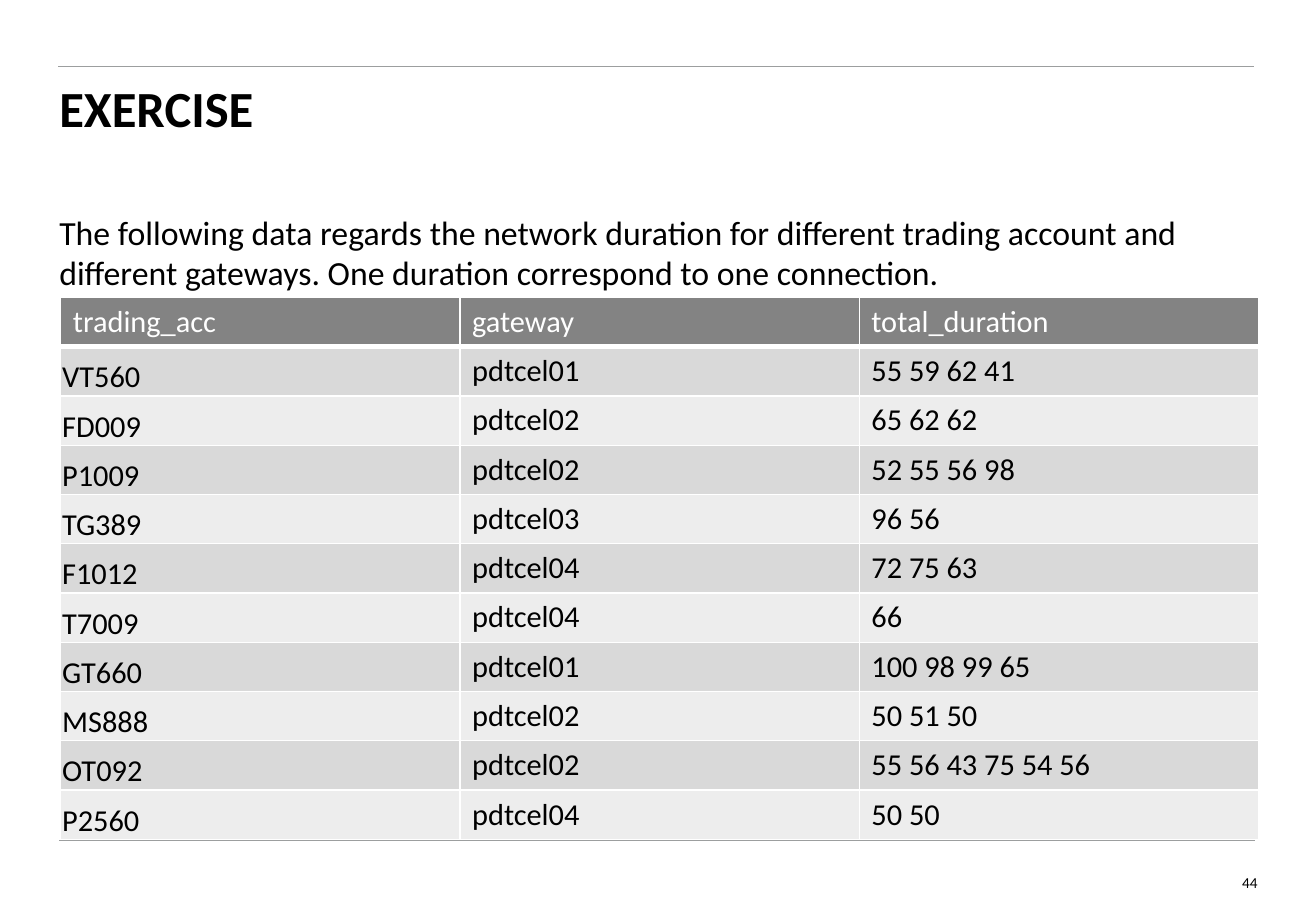
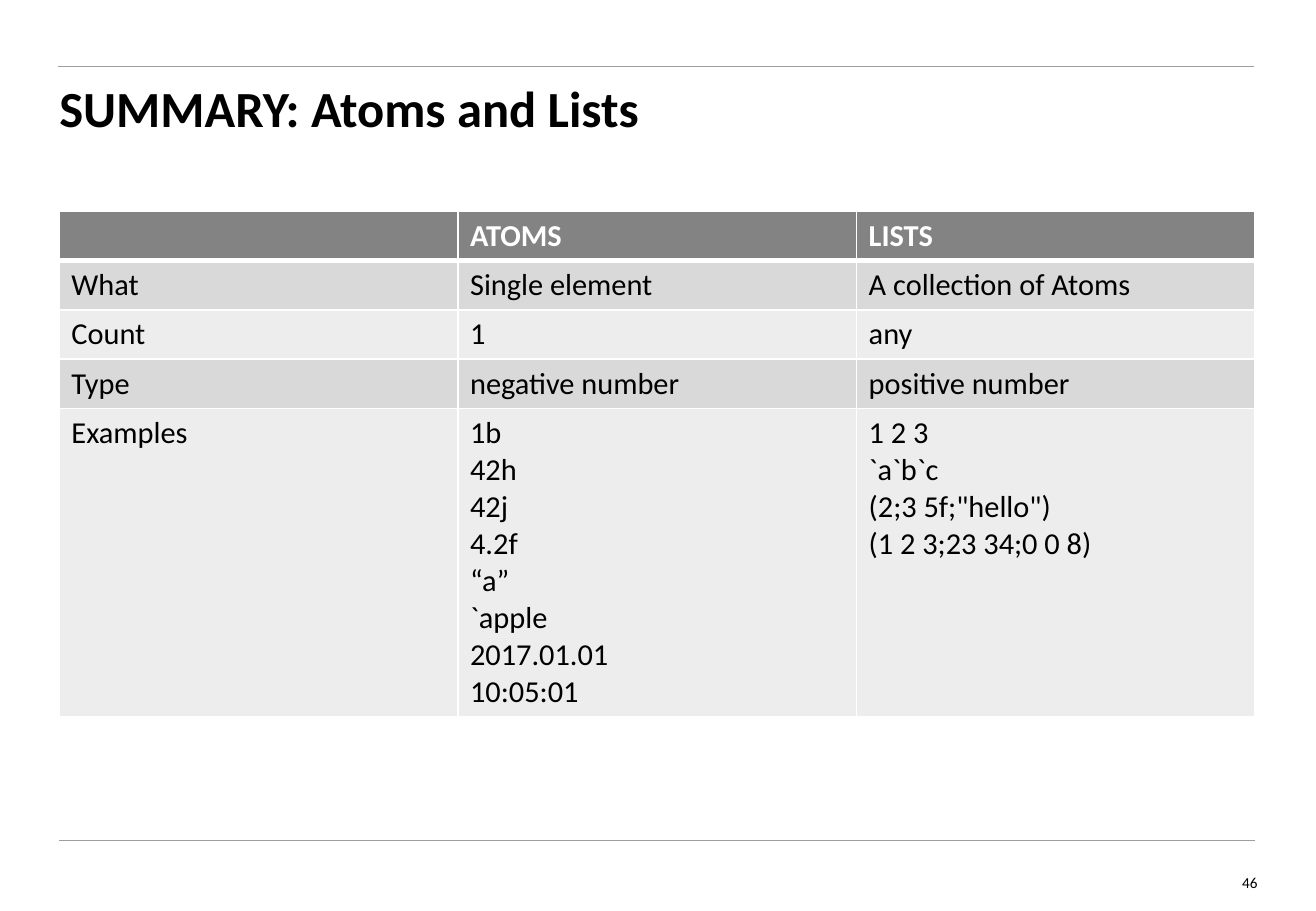
"""Build two training slides: a data exercise and a summary of atoms and lists."""
from dataclasses import dataclass

from lxml.etree import SubElement
from pptx import Presentation
from pptx.dml.color import RGBColor as Rgb
from pptx.enum.shapes import MSO_CONNECTOR as Connector
from pptx.enum.text import MSO_ANCHOR as Anchor, MSO_AUTO_SIZE as AutoSize, PP_ALIGN as Align
from pptx.oxml.ns import qn
from pptx.util import Cm, Pt


@dataclass(frozen=True)
class Theme:
    font: str = "Calibri"
    ink: str = "000000"
    paper: str = "FFFFFF"
    rule: str = "9C9E9F"
    header: str = "838383"
    bands: tuple = ("D9D9D9", "EDEDED")
    title_size: int = 30
    body_size: int = 20
    table_size: int = 18
    number_size: int = 9
    left: float = 1.24
    width: float = 25
    content_top: float = 4.42
    row_height: float = 1.03


class Deck:
    def __init__(self, theme):
        self.theme = theme
        self.presentation = Presentation()
        self.presentation.slide_width = Cm(27.51)
        self.presentation.slide_height = Cm(19.05)
        self.slide = None

    def add_slide(self, title, number):
        theme = self.theme
        self.slide = self.presentation.slides.add_slide(self.presentation.slide_layouts[5])
        self.rule(1.22, 1.4)
        self.rule(theme.left, 17.58)
        heading = self.slide.shapes.title
        heading.left, heading.top = Cm(theme.left), Cm(1.75)
        heading.width, heading.height = Cm(theme.width), Cm(2.26)
        self.set_words(heading.text_frame, title, theme.title_size, bold=True, spacing=0.9)
        self.text(str(number), 25.15, 18.31, 1.14, 0.3, theme.number_size,
                  Align.RIGHT, Anchor.MIDDLE)

    def rule(self, left, top):
        line = self.slide.shapes.add_connector(
            Connector.STRAIGHT, Cm(left), Cm(top), Cm(left + self.theme.width), Cm(top))
        line.line.color.rgb = Rgb.from_string(self.theme.rule)
        line.line.width = Pt(0.5)
        SubElement(line.element.spPr, qn("a:effectLst"))

    def text(self, words, left, top, width, height, size, align=Align.LEFT, anchor=Anchor.TOP):
        box = self.slide.shapes.add_textbox(Cm(left), Cm(top), Cm(width), Cm(height))
        self.set_words(box.text_frame, words, size, align=align, anchor=anchor)

    def set_words(self, frame, words, size, bold=False, align=Align.LEFT, anchor=Anchor.TOP,
                  spacing=1.0):
        frame.margin_left = frame.margin_right = frame.margin_top = frame.margin_bottom = 0
        frame.auto_size = AutoSize.NONE
        frame.word_wrap = True
        frame.vertical_anchor = anchor
        frame.text = words
        self.style_runs(frame, size, self.theme.ink, bold, align, spacing)

    def style_runs(self, frame, size, color, bold, align=Align.LEFT, spacing=1.0):
        for paragraph in frame.paragraphs:
            paragraph.alignment = align
            paragraph.line_spacing = spacing
            for run in paragraph.runs:
                run.font.name = self.theme.font
                run.font.size = Pt(size)
                run.font.bold = bold
                run.font.color.rgb = Rgb.from_string(color)

    def table(self, rows, left, top, width, bold_header=False, tight_first_column=False):
        theme = self.theme
        grid = self.slide.shapes.add_table(
            len(rows), len(rows[0]), Cm(left), Cm(top), Cm(width),
            Cm(theme.row_height * len(rows))).table
        for row_index, row in enumerate(rows):
            is_header = row_index == 0
            fill = theme.header if is_header else theme.bands[(row_index - 1) % 2]
            color = theme.paper if is_header else theme.ink
            borders = ({"lnL": 1, "lnR": 1, "lnT": 1, "lnB": 3} if is_header
                       else {"lnL": 1, "lnR": 1, "lnB": 1})
            for column_index, words in enumerate(row):
                cell = grid.cell(row_index, column_index)
                cell.text_frame.text = words
                self.style_runs(cell.text_frame, theme.table_size, color,
                                is_header and bold_header)
                if tight_first_column and column_index == 0 and not is_header:
                    cell.vertical_anchor = Anchor.BOTTOM
                    cell.margin_left = cell.margin_right = cell.margin_top = Cm(0.03)
                    cell.margin_bottom = 0
                self.borders(cell, borders)
                cell.fill.solid()
                cell.fill.fore_color.rgb = Rgb.from_string(fill)

    def borders(self, cell, widths):
        properties = cell._tc.get_or_add_tcPr()
        for side, points in widths.items():
            edge = SubElement(properties, qn(f"a:{side}"), w=str(Pt(points)))
            paint = SubElement(edge, qn("a:solidFill"))
            SubElement(paint, qn("a:srgbClr"), val=self.theme.paper)


DURATIONS = [
    ("trading_acc", "gateway", "total_duration"),
    ("VT560", "pdtcel01", "55 59 62 41"),
    ("FD009", "pdtcel02", "65 62 62"),
    ("P1009", "pdtcel02", "52 55 56 98"),
    ("TG389", "pdtcel03", "96 56"),
    ("F1012", "pdtcel04", "72 75 63"),
    ("T7009", "pdtcel04", "66"),
    ("GT660", "pdtcel01", "100 98 99 65"),
    ("MS888", "pdtcel02", "50 51 50"),
    ("OT092", "pdtcel02", "55 56 43 75 54 56"),
    ("P2560", "pdtcel04", "50 50"),
]
ATOMS_AND_LISTS = [
    ("", "ATOMS", "LISTS"),
    ("What", "Single element", "A collection of Atoms"),
    ("Count", "1", "any"),
    ("Type", "negative number", "positive number"),
    ("Examples",
     "1b\n42h\n42j\n4.2f\n\u201ca\u201d\n`apple\n2017.01.01\n10:05:01",
     "1 2 3\n`a`b`c\n(2;3 5f;\"hello\")\n(1 2 3;23 34;0 0 8)"),
]

theme = Theme()
deck = Deck(theme)

deck.add_slide("EXERCISE", 44)
deck.text("The following data regards the network duration for different trading account and "
          "different gateways. One duration correspond to one connection.",
          theme.left, theme.content_top, theme.width, 1.8, theme.body_size)
deck.table(DURATIONS, 1.27, 6.22, 25.04, tight_first_column=True)

deck.add_slide("SUMMARY: Atoms and Lists", 46)
deck.table(ATOMS_AND_LISTS, theme.left, theme.content_top, theme.width, bold_header=True)

deck.presentation.save("out.pptx")
